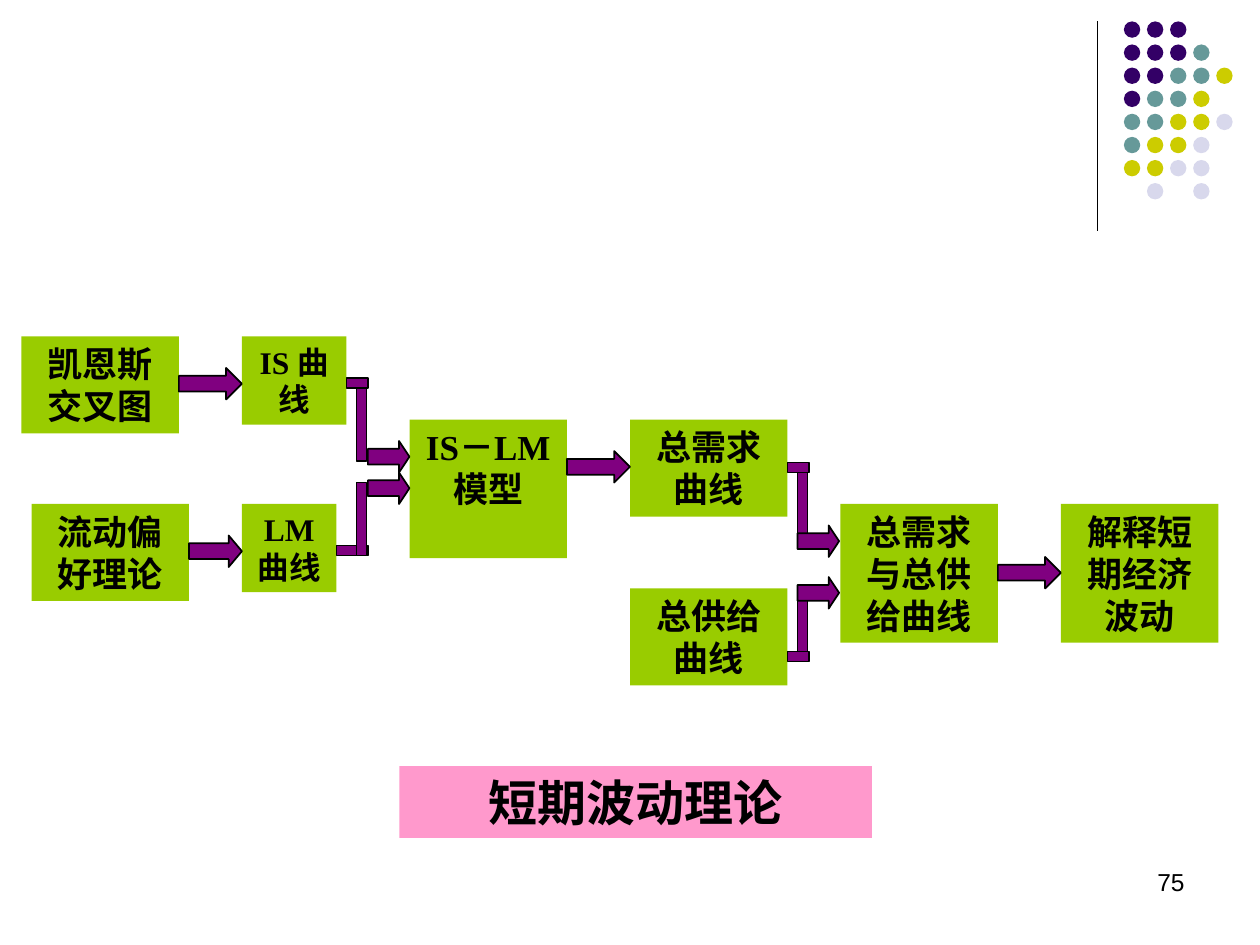
import pptx
import pptx.util
import pptx.dml.color
import pptx.enum.shapes
import pptx.enum.text
import pptx.oxml.ns
from lxml import etree

Inches = pptx.util.Inches
Pt = pptx.util.Pt
SHAPE = pptx.enum.shapes.MSO_SHAPE
ALIGN = pptx.enum.text.PP_ALIGN

COLORS = {
    "black": "000000", "box": "99CC00", "arrow": "800080", "title": "FF99CC",
    "P": "330066", "T": "669999", "Y": "CCCC00", "L": "D8D8EC",
}

# One letter per dot, naming its colour; a dot marks an empty place
DOT_ROWS = ["PPP", "PPPT", "PPTTY", "PTTY", "TTYYL", "TYYL", "YYLL", ".L.L"]

# text, left, top, width, height, size
BOXES = [
    ("凯恩斯交叉图", 0.17, 2.67, 1.25, 0.77, 20),
    ("流动偏好理论", 0.25, 4, 1.25, 0.77, 20),
    ("IS 曲线", 1.92, 2.67, 0.83, 0.7, 18),
    ("LM曲线", 1.92, 4, 0.75, 0.7, 18),
    ("IS－LM模型", 3.25, 3.33, 1.25, 1.1, 20),
    ("总需求曲线", 5, 3.33, 1.25, 0.77, 20),
    ("总供给曲线", 5, 4.67, 1.25, 0.77, 20),
    ("总需求与总供给曲线", 6.67, 4, 1.25, 1.1, 20),
    ("解释短期经济波动", 8.42, 4, 1.25, 1.1, 20),
]

# left, top, width
LEFT_ARROWS = [(1.42, 2.92, 0.5), (1.5, 4.25, 0.42), (2.92, 3.75, 0.33), (2.92, 3.5, 0.33)]
RIGHT_ARROWS = [(6.33, 4.17, 0.33), (6.33, 4.58, 0.33), (7.92, 4.42, 0.5), (4.5, 3.58, 0.5)]

# left, top, width, height
BARS = [
    (2.67, 4.33, 0.25, 0.08), (2.83, 3.83, 0.08, 0.58), (2.83, 3.08, 0.08, 0.58),
    (6.33, 4.67, 0.08, 0.58), (6.33, 3.75, 0.08, 0.58),
    (2.75, 3, 0.17, 0.08), (6.25, 3.67, 0.17, 0.08), (6.25, 5.17, 0.17, 0.08),
]


def rgb(name):
    return pptx.dml.color.RGBColor.from_string(COLORS[name])


def add_shape(s, kind, left, top, width, height, fill, outlined=False):
    sp = s.shapes.add_shape(kind, Inches(left), Inches(top), Inches(width), Inches(height))
    sp.shadow.inherit = False
    sp.fill.solid()
    sp.fill.fore_color.rgb = rgb(fill)
    if outlined:
        sp.line.color.rgb = rgb("black")
        sp.line.width = Pt(1)
    else:
        sp.line.fill.background()
    return sp


def set_text(sp, text, size, font="Times New Roman", bold=True, align=ALIGN.CENTER):
    tf = sp.text_frame
    tf.word_wrap = True
    tf.vertical_anchor = pptx.enum.text.MSO_ANCHOR.TOP
    p = tf.paragraphs[0]
    p.text = text
    p.alignment = align
    p.font.name = font
    p.font.size = Pt(size)
    p.font.bold = bold
    p.font.color.rgb = rgb("black")


def add_box(s, text, left, top, width, height, size, fill="box"):
    sp = add_shape(s, SHAPE.RECTANGLE, left, top, width, height, fill)
    set_text(sp, text, size)


def add_arrow(s, left, top, width):
    height = 0.25
    sp = add_shape(s, SHAPE.RIGHT_ARROW, left, top, width, height, "arrow", True)
    # The head is a quarter of a 0.5 inch arrow and shrinks with its length
    sp.adjustments[1] = round(width / 4 / height, 2)


def add_corner_ornament(s):
    line = s.shapes.add_connector(pptx.enum.shapes.MSO_CONNECTOR.STRAIGHT,
                                  Inches(8.71), Inches(0.17), Inches(8.71), Inches(1.83))
    line.line.color.rgb = rgb("black")
    line.line.width = Pt(0.75)
    etree.SubElement(line._element.spPr, pptx.oxml.ns.qn("a:effectLst"))
    pitch = 1.1 / 6
    for row, letters in enumerate(DOT_ROWS):
        for col, letter in enumerate(letters):
            if letter != ".":
                add_shape(s, SHAPE.OVAL, 8.92 + col * pitch, 0.17 + row * pitch,
                          0.13, 0.13, letter)


def main():
    prs = pptx.Presentation()
    prs.slide_width, prs.slide_height = Inches(10), Inches(7.5)
    s = prs.slides.add_slide(prs.slide_layouts[6])

    add_corner_ornament(s)

    # Flow chart: boxes, then arrows and the bars that lead to them
    for box in BOXES:
        add_box(s, *box)
    for arrow in LEFT_ARROWS:
        add_arrow(s, *arrow)
    for bar in BARS:
        add_shape(s, SHAPE.RECTANGLE, *bar, "arrow", True)
    for arrow in RIGHT_ARROWS:
        add_arrow(s, *arrow)

    # Caption and page number
    add_box(s, "短期波动理论", 3.17, 6.08, 3.75, 0.57, 28, "title")
    number = s.shapes.add_textbox(Inches(7.17), Inches(6.83), Inches(2.33), Inches(0.52))
    set_text(number, "75", 14, "Arial", False, ALIGN.RIGHT)

    prs.save("out.pptx")


if __name__ == "__main__":
    main()
